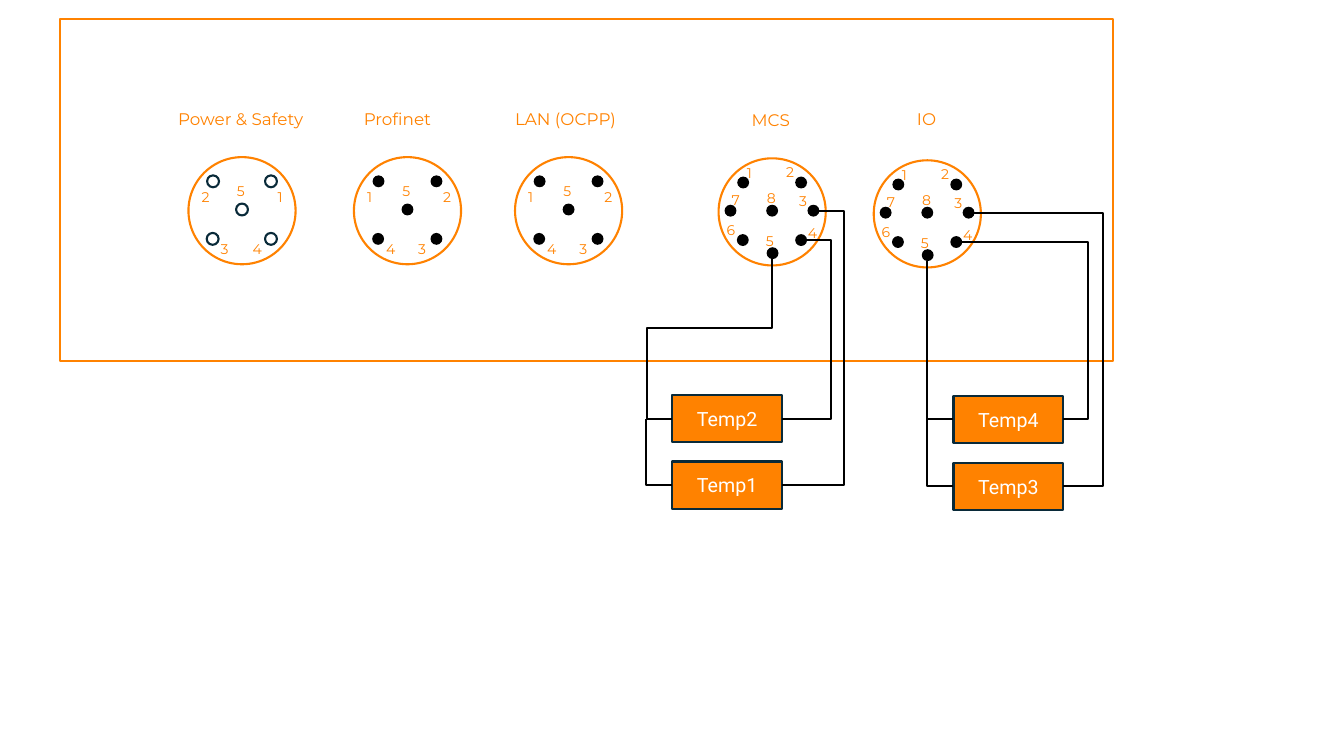
from pptx import Presentation
from pptx.dml.color import RGBColor
from pptx.enum.shapes import MSO_CONNECTOR as Link, MSO_SHAPE as Preset
from pptx.enum.text import MSO_ANCHOR as Anchor, MSO_AUTO_SIZE as AutoSize, PP_ALIGN as Align
from pptx.oxml.ns import qn
from pptx.util import Cm, Pt
from lxml.etree import SubElement

COLORS = {"orange": "FF8200", "navy": "092A39", "black": "000000", "white": "FFFFFF"}
SOCKET_SIZE, PIN_SIZE = 2.7, 0.3
SENSOR_WIDTH, SENSOR_HEIGHT = 2.77, 1.19

# Pin centres and number positions, in cm from the socket's top left corner
FIVE_PINS = [(0.62, 0.61), (2.08, 0.61), (0.61, 2.06), (2.08, 2.06), (1.35, 1.32)]
EIGHT_PINS = FIVE_PINS + [(1.36, 2.39), (0.3, 1.32), (2.39, 1.32)]
FIVE_NUMBERS = [(0.08, 0.66), (2, 0.66), (0.97, 0.51), (0.56, 1.98), (1.37, 1.98)]
EIGHT_NUMBERS = [(0.46, 0.03), (1.45, 0), (1.78, 0.74), (2, 1.55),
                 (0.94, 1.75), (-0.05, 1.47), (0.08, 0.71), (0.97, 0.66)]

# Heading, its left, top and width, then the socket's left and top,
# the numbers in position order, and whether the pins are filled
SOCKETS = [
    ("Power & Safety", 4.24, 2.62, 4.11, 4.75, 3.96, "21534", False),
    ("Profinet", 8.92, 2.62, 2.36, 8.92, 3.96, "12543", True),
    ("LAN (OCPP)", 12.73, 2.62, 3.28, 12.98, 3.96, "12543", True),
    ("MCS", 18.69, 2.64, 1.55, 18.11, 3.99, "12345678", True),
    ("IO", 22.86, 2.62, 1.04, 22.02, 4.04, "12345678", True),
]
SENSORS = [("Temp1", 16.94, 11.63), ("Temp2", 16.94, 9.96),
           ("Temp3", 24.03, 11.66), ("Temp4", 24.03, 9.98)]

# Begin, end, and the places of the middle bends (x, then y)
WIRES = [
    ((20.62, 5.31), (19.71, 12.23), [21.27]),
    ((20.32, 6.05), (19.71, 10.55), [20.95]),
    ((16.94, 10.55), (19.46, 6.53), [16.31, 8.26]),
    ((16.94, 12.23), (16.28, 10.55), []),
    ((24.54, 5.36), (26.8, 12.24), [27.79]),
    ((24.23, 6.1), (26.8, 10.57), [27.43]),
    ((24.03, 10.57), (23.37, 6.58), []),
    ((24.03, 12.24), (23.37, 10.57), []),
]


def color(name):
    return RGBColor.from_string(COLORS[name])


def write(frame, text, *, size, font="Montserrat", ink="orange", align=Align.LEFT):
    para = frame.paragraphs[0]
    para.alignment = align
    span = para.add_run()
    span.text = text
    span.font.size = Pt(size)
    span.font.name = font
    span.font.color.rgb = color(ink)


def add_label(page, text, left, top, width, height, *, size, wrap):
    box = page.shapes.add_textbox(Cm(left), Cm(top), Cm(width), Cm(height))
    box.text_frame.word_wrap = wrap
    box.text_frame.auto_size = AutoSize.SHAPE_TO_FIT_TEXT
    write(box.text_frame, text, size=size)


def add_figure(page, preset, left, top, width, height, *, fill=None, line=None):
    figure = page.shapes.add_shape(preset, Cm(left), Cm(top), Cm(width), Cm(height))
    figure.shadow.inherit = False
    if fill:
        figure.fill.solid()
        figure.fill.fore_color.rgb = color(fill)
    else:
        figure.fill.background()
    if line:
        figure.line.color.rgb = color(line)
        figure.line.width = Pt(1.5)
    else:
        figure.line.fill.background()
    return figure


def add_socket(page, left, top, numbers, filled):
    add_figure(page, Preset.OVAL, left, top, SOCKET_SIZE, SOCKET_SIZE, line="orange")
    pins, places = ((FIVE_PINS, FIVE_NUMBERS) if len(numbers) == 5
                    else (EIGHT_PINS, EIGHT_NUMBERS))
    look = {"fill": "black"} if filled else {"line": "navy"}
    for x, y in pins:
        add_figure(page, Preset.OVAL, left + x - PIN_SIZE / 2, top + y - PIN_SIZE / 2,
                   PIN_SIZE, PIN_SIZE, **look)
    for number, (x, y) in zip(numbers, places):
        add_label(page, number, left + x, top + y, 0.74, 0.68, size=10, wrap=True)


def add_sensor(page, name, left, top):
    sensor = add_figure(page, Preset.RECTANGLE, left, top, SENSOR_WIDTH, SENSOR_HEIGHT,
                        fill="orange", line="navy")
    sensor.text_frame.vertical_anchor = Anchor.MIDDLE
    write(sensor.text_frame, name, size=14, font="Roboto", ink="white", align=Align.CENTER)


def add_wire(page, begin, end, bends):
    wire = page.shapes.add_connector(Link.ELBOW, *map(Cm, begin + end))
    wire.line.color.rgb = color("black")
    wire.line.width = Pt(1.5)
    properties = wire._element.spPr
    SubElement(properties, qn("a:effectLst"))
    # Each bend is a share of the way from begin to end
    geometry = properties.find(qn("a:prstGeom"))
    geometry.set("prst", f"bentConnector{len(bends) + 2}")
    guides = geometry.find(qn("a:avLst"))
    for index, (bend, start, stop) in enumerate(zip(bends, begin, end), 1):
        name = f"adj{index}"
        share = round((bend - start) / (stop - start) * 100000)
        SubElement(guides, qn("a:gd"), name=name, fmla=f"val {share}")


def main():
    deck = Presentation()
    deck.slide_width, deck.slide_height = Cm(33.87), Cm(19.05)
    page = deck.slides.add_slide(deck.slide_layouts[6])

    # Connector panel
    add_figure(page, Preset.RECTANGLE, 1.52, 0.48, 26.52, 8.61, line="orange")
    for heading, x, y, width, left, top, numbers, filled in SOCKETS:
        add_label(page, heading, x, y, width, 0.76, size=12, wrap=False)
        add_socket(page, left, top, numbers, filled)

    # Temperature sensors and their wiring
    for name, left, top in SENSORS:
        add_sensor(page, name, left, top)
    for begin, end, bends in WIRES:
        add_wire(page, begin, end, bends)

    deck.save("out.pptx")


if __name__ == "__main__":
    main()
